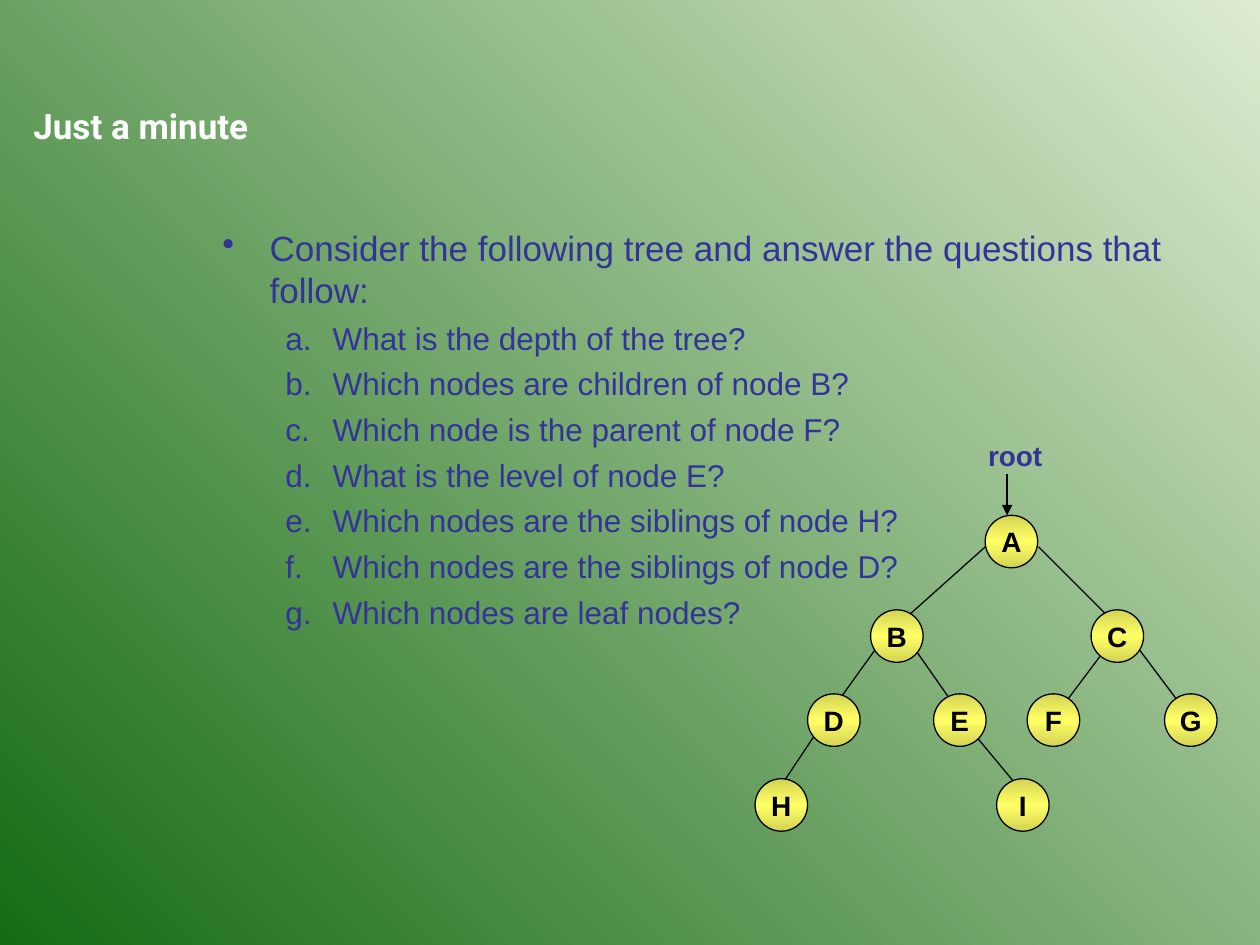
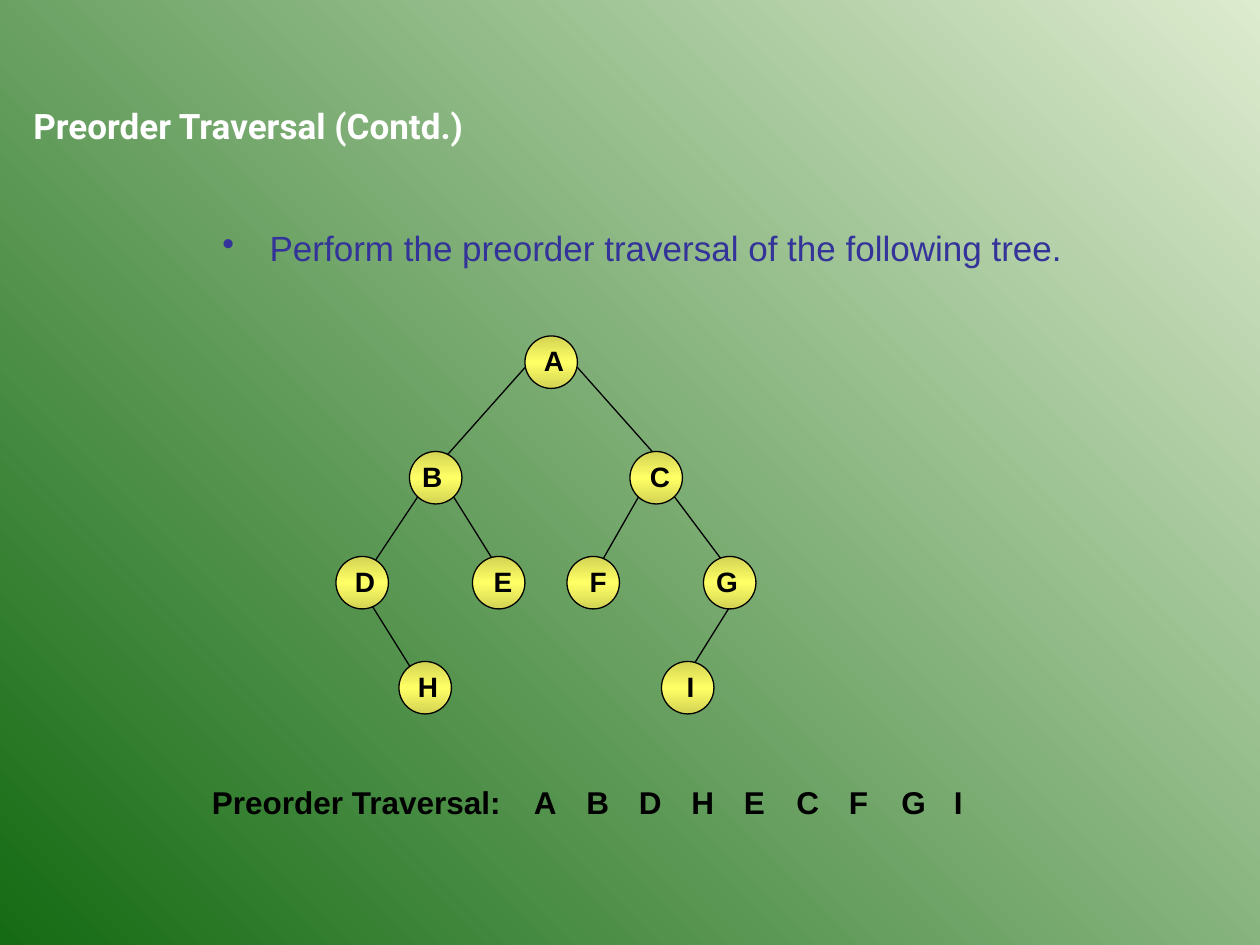
"""Two slides on binary trees: a quiz and a preorder traversal exercise."""
from copy import deepcopy

from lxml import etree
from pptx import Presentation
from pptx.dml.color import RGBColor
from pptx.enum import shapes, text
from pptx.oxml import ns
from pptx.util import Pt

WHITE = RGBColor(0xFF, 0xFF, 0xFF)
BLACK = RGBColor(0x00, 0x00, 0x00)
INDIGO = RGBColor(0x33, 0x33, 0x99)
PALE_GREEN = RGBColor(0xDD, 0xEB, 0xCF)
DARK_GREEN = RGBColor(0x15, 0x6B, 0x13)
OLIVE = RGBColor(0xD3, 0xD3, 0x54)
YELLOW = RGBColor(0xFF, 0xFF, 0x66)
NODE_SIZE = 30


def add_text(slide, left, top, width, height, content, size, color, bold=True, font="Arial"):
    frame = slide.shapes.add_textbox(Pt(left), Pt(top), Pt(width), Pt(height)).text_frame
    frame.word_wrap = True
    frame.text = content
    for paragraph in frame.paragraphs:
        paragraph.font.size = Pt(size)
        paragraph.font.name = font
        paragraph.font.bold = bold
        paragraph.font.color.rgb = color
    return frame


def add_line(slide, x1, y1, x2, y2):
    line = slide.shapes.add_connector(
        shapes.MSO_CONNECTOR.STRAIGHT, Pt(x1), Pt(y1), Pt(x2), Pt(y2))
    line.line.color.rgb = BLACK
    line.line.width = Pt(0.75)
    etree.SubElement(line._element.spPr, ns.qn("a:effectLst"))
    return line


quiz = {
    "title": "Just a minute",
    "prompt": "Consider the following tree and answer the questions that follow:",
    "questions": [
        "What is the depth of the tree?",
        "Which nodes are children of node B?",
        "Which node is the parent of node F?",
        "What is the level of node E?",
        "Which nodes are the siblings of node H?",
        "Which nodes are the siblings of node D?",
        "Which nodes are leaf nodes?",
    ],
    "edges": [
        (563, 312.5, 515.5, 355), (593.5, 312.5, 641.5, 360.5),
        (503.5, 366.5, 473, 409), (515.5, 360.5, 557.5, 420.5),
        (635, 366.5, 599, 414.5), (647.5, 366.5, 683.5, 414.5),
        (473, 409, 437, 463), (557.5, 420.5, 587.5, 456.5),
    ],
    "nodes": [
        ("A", 563, 294.5, None), ("B", 497.5, 348.5, None), ("C", 623.5, 348.5, None),
        ("D", 461.5, 396.5, None), ("E", 533.5, 396.5, None), ("F", 587, 396.5, None),
        ("G", 665.5, 396.5, None), ("H", 431.5, 445, None), ("I", 569.5, 445, None),
    ],
}
traversal = {
    "title": "Preorder Traversal (Contd.)",
    "prompt": "Perform the preorder traversal of the following tree.",
    "questions": [],
    "edges": [
        (300, 210, 252, 264), (330, 210, 378, 264), (240, 282, 204, 336),
        (258, 282, 288, 330), (366, 282, 342, 324), (384, 282, 420, 330),
        (210, 342, 240, 390), (420, 342, 390, 390),
    ],
    "nodes": [
        ("A", 300, 192, 10.8), ("B", 234, 258, 7.2), ("C", 360, 258, 11.5),
        ("D", 192, 318, 10.8), ("E", 270, 318, 12.2), ("F", 324, 318, 13),
        ("G", 402, 318, 7.2), ("H", 228, 378, 10.8), ("I", 378, 378, 14.5),
    ],
}

prs = Presentation()
prs.slide_width, prs.slide_height = Pt(720), Pt(540)
backdrop = prs.slide_master.background.fill
backdrop.gradient()
backdrop.gradient_angle = 225
for stop, color in zip(backdrop.gradient_stops, (PALE_GREEN, DARK_GREEN)):
    stop.color.rgb = color

for topic in (quiz, traversal):
    slide = prs.slides.add_slide(prs.slide_layouts[6])
    add_text(slide, 12, 56, 540, 32, topic["title"], 20, WHITE, font="Roboto")

    lines = [topic["prompt"], *topic["questions"]]
    body = add_text(slide, 120, 126, 576, 276, "\n".join(lines), 20, INDIGO, bold=False)
    for number, paragraph in enumerate(body.paragraphs):
        properties = paragraph._p.get_or_add_pPr()
        properties.set("marL", str(Pt(63 if number else 27)))
        properties.set("indent", str(Pt(-27)))
        if number:
            paragraph.level = 1
            paragraph.space_before = Pt(4.5)
            bullet = etree.Element(ns.qn("a:buAutoNum"), type="alphaLcPeriod")
        else:
            bullet = etree.Element(ns.qn("a:buChar"), char="•")
        properties.insert_element_before(bullet, "a:tabLst", "a:defRPr", "a:extLst")
        if number:
            paragraph.font.size = Pt(18)

    for edge in topic["edges"]:
        add_line(slide, *edge)

    for letter, left, top, inset in topic["nodes"]:
        node = slide.shapes.add_shape(
            shapes.MSO_SHAPE.OVAL, Pt(left), Pt(top), Pt(NODE_SIZE), Pt(NODE_SIZE))
        node.shadow.inherit = False
        node.line.color.rgb = BLACK
        node.line.width = Pt(0.75)
        node.fill.gradient()
        node.fill.gradient_angle = 270
        stop_list = node._element.spPr.find(".//" + ns.qn("a:gsLst"))
        stop_list.append(deepcopy(stop_list[0]))
        shades = zip(node.fill.gradient_stops, (0, 0.5, 1), (OLIVE, YELLOW, OLIVE))
        for stop, position, color in shades:
            stop.position = position
            stop.color.rgb = color
        frame = node.text_frame
        frame.text = letter
        label = frame.paragraphs[0]
        label.font.size = Pt(16)
        label.font.name = "Arial"
        label.font.bold = True
        label.font.color.rgb = BLACK
        if inset is None:
            frame.word_wrap = False
            frame.vertical_anchor = text.MSO_ANCHOR.MIDDLE
            label.alignment = text.PP_ALIGN.CENTER
        else:
            # Ovals inset their text area by about 4.4 points on every side.
            frame.word_wrap = True
            frame.margin_left = Pt(inset - 4.4)
            frame.margin_right = 0
            frame.margin_top = frame.margin_bottom = 0
            frame.vertical_anchor = text.MSO_ANCHOR.TOP
            label.alignment = text.PP_ALIGN.LEFT

    if topic is quiz:
        pointer = add_line(slide, 575.5, 271, 575.5, 294.5)
        etree.SubElement(pointer.line._get_or_add_ln(), ns.qn("a:tailEnd"), type="triangle")
        add_text(slide, 557.5, 247, 54, 26.5, "root", 16, INDIGO)
    else:
        add_text(slide, 114, 444, 192, 29, "Preorder Traversal:", 18, BLACK)
        for step, letter in enumerate("ABDHECFGI"):
            add_text(slide, 298 + 30 * step, 444, 48, 29, letter, 18, BLACK)

prs.save("out.pptx")
